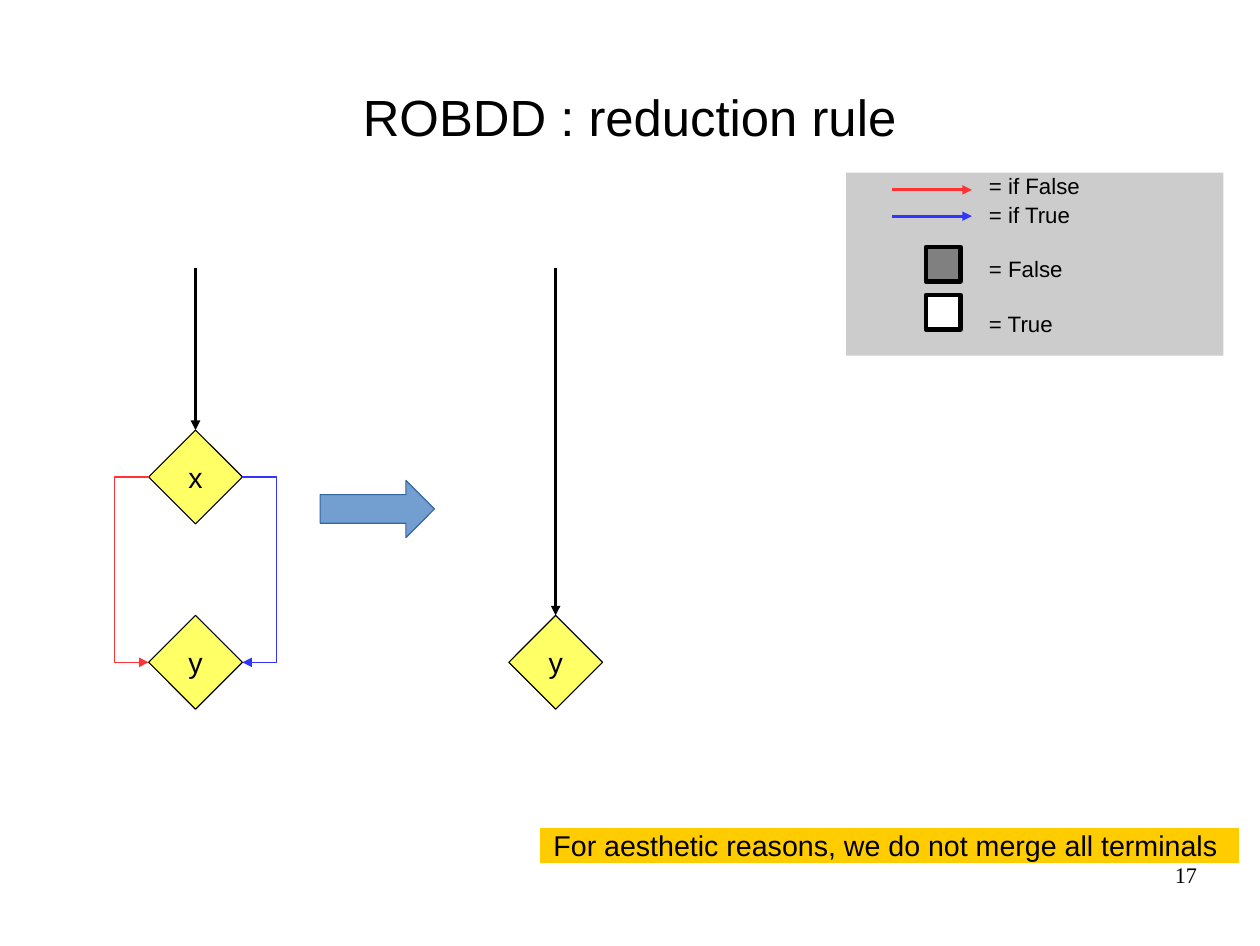
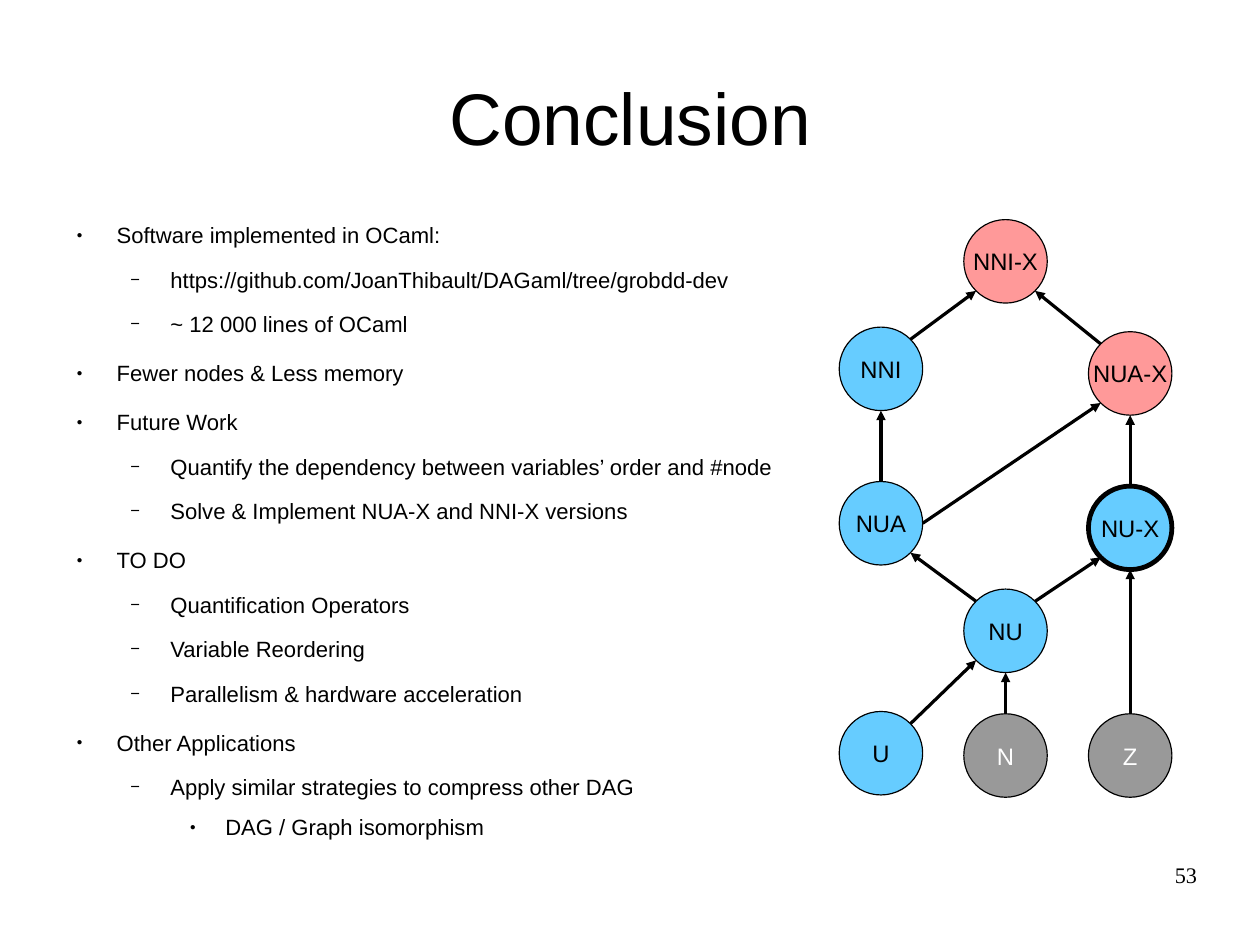
from lxml.etree import SubElement
from pptx import Presentation
from pptx.dml.color import RGBColor
from pptx.enum.shapes import MSO_CONNECTOR as Connector, MSO_SHAPE as Shape
from pptx.enum.text import MSO_ANCHOR as Anchor, PP_ALIGN as Align
from pptx.oxml.ns import qn
from pptx.util import Inches, Pt

BLACK = RGBColor(0x00, 0x00, 0x00)
WHITE = RGBColor(0xFF, 0xFF, 0xFF)
RED = RGBColor(0xFF, 0x33, 0x33)
BLUE = RGBColor(0x33, 0x33, 0xFF)
YELLOW = RGBColor(0xFF, 0xFF, 0x66)
AMBER = RGBColor(0xFF, 0xCC, 0x00)
PALE_GRAY = RGBColor(0xCC, 0xCC, 0xCC)
MID_GRAY = RGBColor(0x99, 0x99, 0x99)
DARK_GRAY = RGBColor(0x80, 0x80, 0x80)
SKY = RGBColor(0x66, 0xCC, 0xFF)
PINK = RGBColor(0xFF, 0x99, 0x99)
STEEL = RGBColor(0x72, 0x9F, 0xCF)
STEEL_EDGE = RGBColor(0x34, 0x65, 0xA4)

CELL = Inches(1)
COLUMNS, ROWS = 11.02, 8.27


def cells(*counts):
    return [round(count * CELL) for count in counts]


def add_item(slide, box, text="", kind=None, fill=None, line=None, line_width=0,
             size=18, font="Arial", color=BLACK, align=Align.CENTER,
             anchor=Anchor.MIDDLE, wrap=False, insets=(0, 0), gaps=()):
    if kind is None:
        shape = slide.shapes.add_textbox(*cells(*box))
    else:
        shape = slide.shapes.add_shape(kind, *cells(*box))
        shape.shadow.inherit = False
        shape.fill.solid()
        shape.fill.fore_color.rgb = fill
        if line is None:
            shape.line.fill.background()
        else:
            shape.line.color.rgb = line
            shape.line.width = Pt(line_width)
    if text:
        frame = shape.text_frame
        frame.word_wrap = wrap
        frame.vertical_anchor = anchor
        frame.margin_left, frame.margin_right = cells(*insets)
        frame.margin_top = frame.margin_bottom = 0
        frame.text = text
        for index, paragraph in enumerate(frame.paragraphs):
            paragraph.alignment = align
            if index and gaps:
                paragraph.space_before = Pt(gaps[index - 1])
            for run in paragraph.runs:
                run.font.size = Pt(size)
                run.font.name = font
                run.font.color.rgb = color
    return shape


def add_arrow(slide, points, color=BLACK):
    corners = [cells(*point) for point in points]
    if len(corners) == 2:
        arrow = slide.shapes.add_connector(Connector.STRAIGHT, *corners[0], *corners[1])
    else:
        builder = slide.shapes.build_freeform(*corners[0])
        builder.add_line_segments(corners[1:], close=False)
        arrow = builder.convert_to_shape()
        arrow.fill.background()
    arrow.line.color.rgb = color
    arrow.line.width = 0
    properties = arrow._element.spPr
    SubElement(properties.find(qn("a:ln")), qn("a:tailEnd"), type="triangle")
    SubElement(properties, qn("a:effectLst"))
    return arrow


presentation = Presentation()
presentation.slide_width, presentation.slide_height = cells(COLUMNS, ROWS)

slides = []
for title, title_size, number in (("ROBDD : reduction rule", 32, "17"), ("Conclusion", 46, "53")):
    slide = presentation.slides.add_slide(presentation.slide_layouts[6])
    add_item(slide, (0.55, 0.33, 9.92, 1.38), title, size=title_size, wrap=True)
    add_item(slide, (7.9, 7.53, 2.57, 0.57), number, size=14, font="Times New Roman",
             align=Align.RIGHT, anchor=Anchor.TOP, wrap=True)
    slides.append(slide)
rule_slide, conclusion_slide = slides

DIAMOND = 0.82
LEFT_X, RIGHT_X = 1.3, 4.45
UPPER_Y, LOWER_Y = 3.76, 5.38
ENTRY_Y = 2.34
BEND = 0.3

for left, top, label, has_entry in ((LEFT_X, UPPER_Y, "x", True),
                                    (LEFT_X, LOWER_Y, "y", False),
                                    (RIGHT_X, LOWER_Y, "y", True)):
    diamond = add_item(rule_slide, (left, top, DIAMOND, DIAMOND), label,
                       Shape.DIAMOND, YELLOW, BLACK)
    if has_entry:
        middle = left + DIAMOND / 2
        entry = add_arrow(rule_slide, ((middle, ENTRY_Y), (middle, top)))
        entry.end_connect(diamond, 0)

for side, bend, color in ((LEFT_X, -BEND, RED), (LEFT_X + DIAMOND, BEND, BLUE)):
    start_y, end_y = UPPER_Y + DIAMOND / 2, LOWER_Y + DIAMOND / 2
    add_arrow(rule_slide, ((side, start_y), (side + bend, start_y),
                           (side + bend, end_y), (side, end_y)), color)

add_item(rule_slide, (2.8, 4.2, 1, 0.5), kind=Shape.RIGHT_ARROW, fill=STEEL, line=STEEL_EDGE)
add_item(rule_slide, (7.4, 1.51, 3.3, 1.6), "= if False\n= if True\n= False\n= True",
         Shape.RECTANGLE, PALE_GRAY, size=14, align=Align.LEFT, anchor=Anchor.TOP,
         wrap=True, insets=(1.25, 0), gaps=(1, 17.5, 17.5))
for top, color in ((1.66, RED), (1.89, BLUE)):
    add_arrow(rule_slide, ((7.8, top), (8.5, top)), color)
for top, color in ((2.16, DARK_GRAY), (2.58, WHITE)):
    add_item(rule_slide, (8.1, top, 0.3, 0.3), kind=Shape.RECTANGLE,
             fill=color, line=BLACK, line_width=3)
add_item(rule_slide, (4.73, 7.24, 6.1, 0.3), "For aesthetic reasons, we do not merge all terminals",
         Shape.RECTANGLE, AMBER, AMBER, insets=(0, 0.07))

outline = (
    (0, "Software implemented in OCaml:"),
    (1, "https://github.com/JoanThibault/DAGaml/tree/grobdd-dev"),
    (1, "~ 12 000 lines of OCaml"),
    (0, "Fewer nodes & Less memory"),
    (0, "Future Work"),
    (1, "Quantify the dependency between variables’ order and #node"),
    (1, "Solve & Implement NUA-X and NNI-X versions"),
    (0, "TO DO"),
    (1, "Quantification Operators"),
    (1, "Variable Reordering"),
    (1, "Parallelism & hardware acceleration"),
    (0, "Other Applications"),
    (1, "Apply similar strategies to compress other DAG"),
    (2, "DAG / Graph isomorphism"),
)
level_formats = ((0.47, -0.35, 14.2, "●", 45), (0.94, -0.35, 11.3, "−", 75),
                 (1.42, -0.31, 8.5, "●", 45))
body = add_item(conclusion_slide, (0.55, 1.94, 9.92, 4.8), "\n".join(text for level, text in outline),
                size=13.9, align=Align.LEFT, anchor=Anchor.TOP, wrap=True,
                gaps=[level_formats[level][2] for level, text in outline[1:]])
for paragraph, (level, text) in zip(body.text_frame.paragraphs, outline):
    margin, indent, gap, bullet, percent = level_formats[level]
    paragraph.level = level
    properties = paragraph._p.get_or_add_pPr()
    properties.set("marL", str(Inches(margin)))
    properties.set("indent", str(Inches(indent)))
    bullet_color = SubElement(properties, qn("a:buClr"))
    SubElement(bullet_color, qn("a:srgbClr"), val=str(BLACK))
    SubElement(properties, qn("a:buSzPct"), val=str(percent * 1000))
    SubElement(properties, qn("a:buFont"), typeface="Arial")
    SubElement(properties, qn("a:buChar"), char=bullet)

CIRCLE = 0.73
RADIUS = CIRCLE / 2
DIAGONAL = RADIUS * 0.5 ** 0.5
GRAPH_X, GRAPH_STEP = 7.34, 1.09
nodes = {
    "NNI-X": (1, 1.92, PINK),
    "NNI": (0, 2.86, SKY),
    "NUA-X": (2, 2.9, PINK),
    "NUA": (0, 4.21, SKY),
    "NU-X": (2, 4.25, SKY),
    "NU": (1, 5.15, SKY),
    "U": (0, 6.22, SKY),
    "N": (1, 6.24, MID_GRAY),
    "Z": (2, 6.24, MID_GRAY),
}
sites = {
    "top": (0, -RADIUS), "bottom": (0, RADIUS), "right": (RADIUS, 0),
    "top left": (-DIAGONAL, -DIAGONAL), "top right": (DIAGONAL, -DIAGONAL),
    "bottom left": (-DIAGONAL, DIAGONAL), "bottom right": (DIAGONAL, DIAGONAL),
}
edges = (
    ("N", "top", "NU", "bottom"),
    ("U", "top right", "NU", "bottom left"),
    ("Z", "top", "NU-X", "bottom"),
    ("NU", "top left", "NUA", "bottom right"),
    ("NU", "top right", "NU-X", "bottom left"),
    ("NUA", "top", "NNI", "bottom"),
    ("NUA", "right", "NUA-X", "bottom left"),
    ("NU-X", "top", "NUA-X", "bottom"),
    ("NNI", "top right", "NNI-X", "bottom left"),
    ("NUA-X", "top left", "NNI-X", "bottom right"),
)
for name, (column, top, color) in nodes.items():
    add_item(conclusion_slide, (GRAPH_X + column * GRAPH_STEP, top, CIRCLE, CIRCLE), name,
             Shape.OVAL, color, BLACK, line_width=3 if name == "NU-X" else 0,
             size=15, color=WHITE if color == MID_GRAY else BLACK)
for source, source_site, target, target_site in edges:
    points = []
    for name, site in ((source, source_site), (target, target_site)):
        column, top, color = nodes[name]
        shift_x, shift_y = sites[site]
        points.append((GRAPH_X + column * GRAPH_STEP + RADIUS + shift_x, top + RADIUS + shift_y))
    add_arrow(conclusion_slide, points)

presentation.save("out.pptx")
